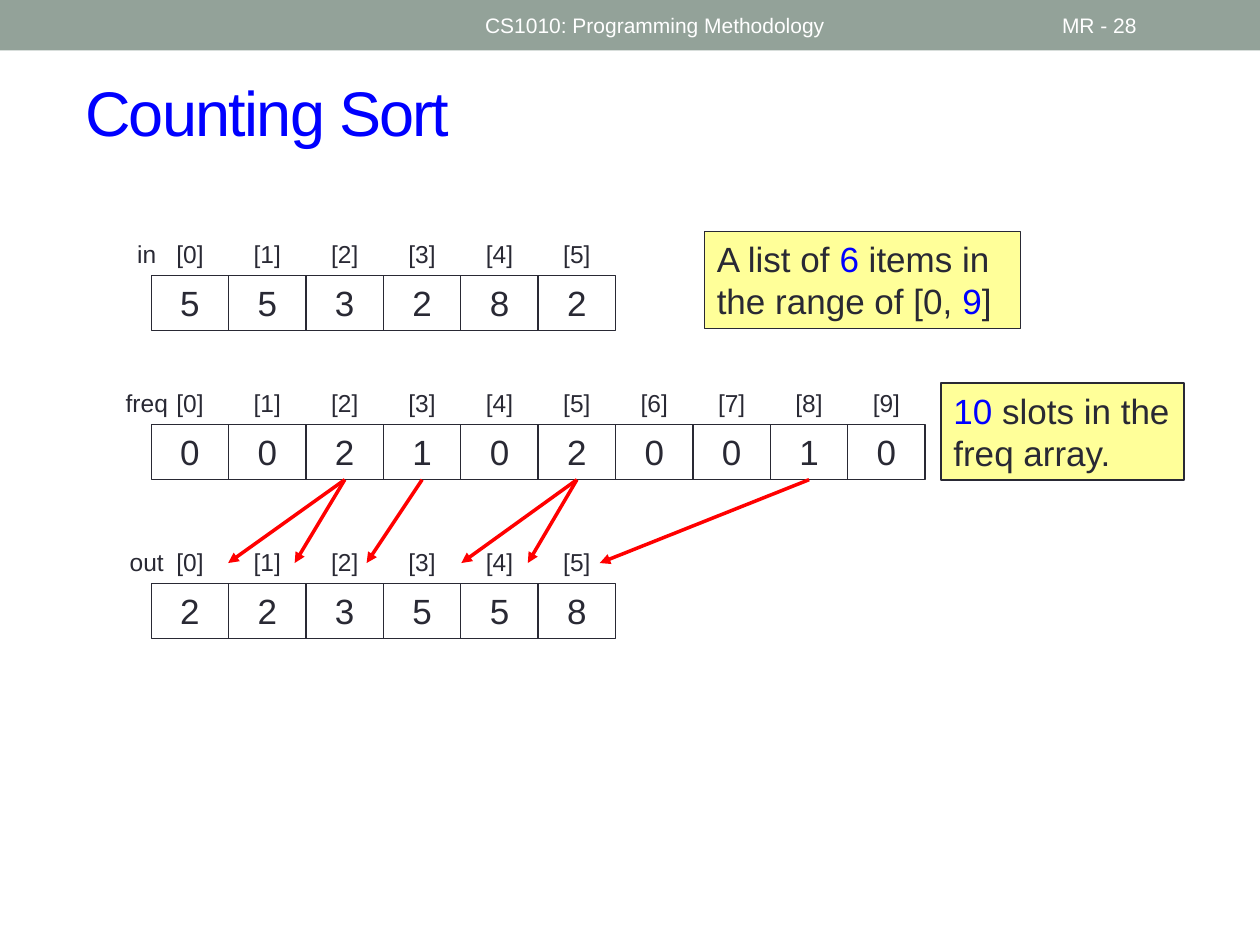
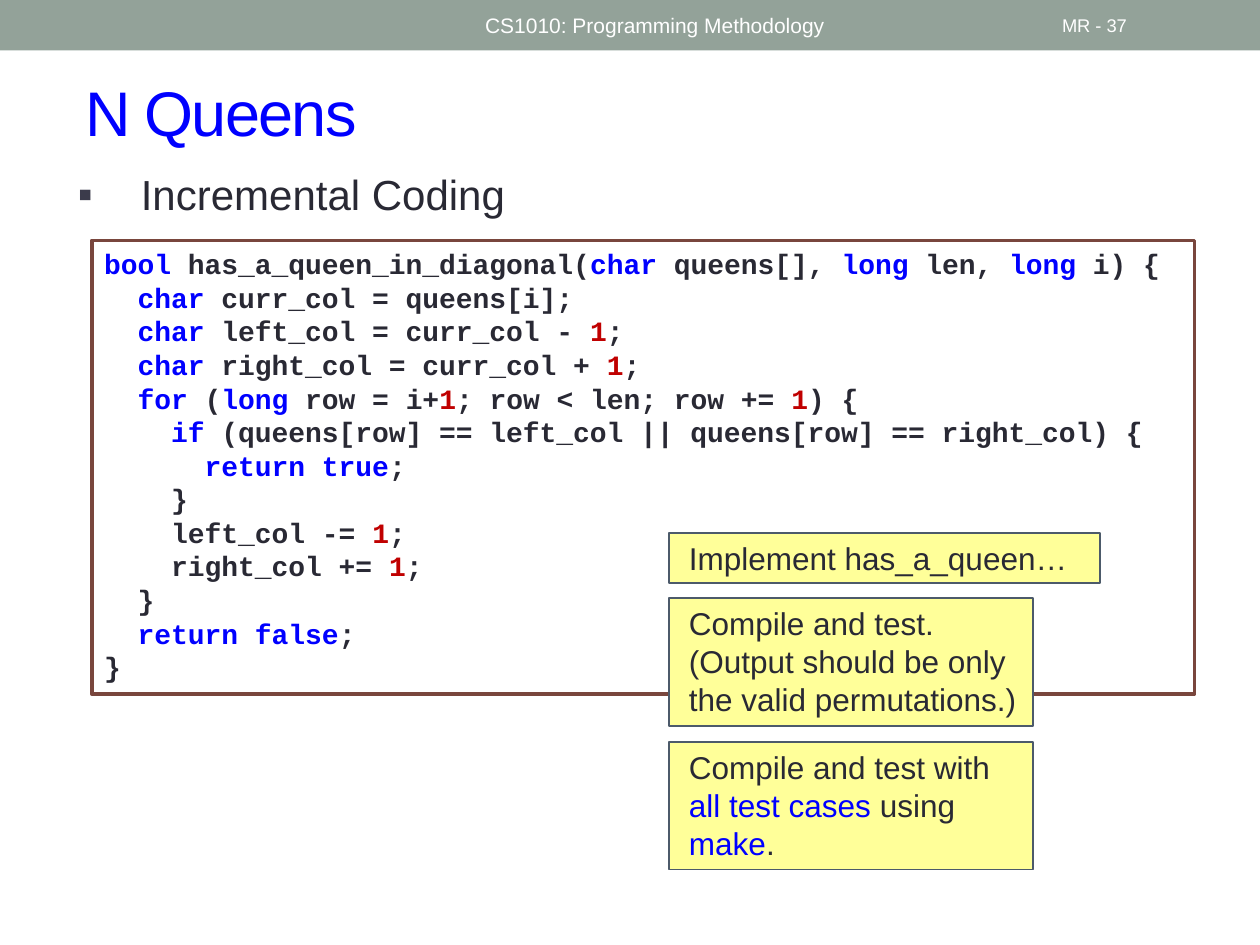
"""Builds two lecture slides: counting sort arrays and incremental coding of N Queens."""
import pptx
import pptx.dml.color
import pptx.enum.shapes
import pptx.enum.text
import pptx.util
import lxml.etree
from pptx.oxml.ns import qn

Cm = pptx.util.Cm
Pt = pptx.util.Pt
ALIGN = pptx.enum.text.PP_ALIGN
ANCHOR = pptx.enum.text.MSO_ANCHOR
COLOURS = {
    "band": "93A299",
    "text": "292934",
    "blue": "0000FF",
    "number": "C00000",
    "arrow": "FF0000",
    "note": "FFFF99",
    "note line": "4C5A6A",
    "code line": "79463D",
    "bullet": "3B3B4B",
    "white": "FFFFFF",
}


def rgb(name):
    return pptx.dml.color.RGBColor.from_string(COLOURS[name])


def add_box(page, place, text="", size=20, font="Arial", colour="text", digits="blue",
            bold=False, align=ALIGN.LEFT, anchor=ANCHOR.TOP, fill=None, line=None,
            line_width=0.75, spacing=0, indent=0, bullet=None):
    """Add a box of text; parts between backticks are blue, or the digits colour if numeric."""
    place = [Cm(length) for length in place]
    if fill or line:
        box = page.shapes.add_shape(pptx.enum.shapes.MSO_SHAPE.RECTANGLE, *place)
        box.shadow.inherit = False
    else:
        box = page.shapes.add_textbox(*place)
    if fill:
        box.fill.solid()
        box.fill.fore_color.rgb = rgb(fill)
    else:
        box.fill.background()
    if line:
        box.line.color.rgb = rgb(line)
        box.line.width = Pt(line_width)
    else:
        box.line.fill.background()
    frame = box.text_frame
    frame.word_wrap = True
    frame.vertical_anchor = anchor
    for index, row in enumerate(text.split("\n")):
        para = frame.add_paragraph() if index else frame.paragraphs[0]
        para.alignment = align
        properties = para._p.get_or_add_pPr()
        if indent:
            properties.set("marL", str(Cm(indent)))
        if bullet:
            properties.set("indent", str(-Cm(indent)))
            tint = lxml.etree.SubElement(properties, qn("a:buClr"))
            lxml.etree.SubElement(tint, qn("a:srgbClr"), val=COLOURS["bullet"])
            lxml.etree.SubElement(properties, qn("a:buFont"), typeface="Arial")
            lxml.etree.SubElement(properties, qn("a:buChar"), char=bullet)
        for part, words in enumerate(row.split("`")):
            if not words:
                continue
            span = para.add_run()
            span.text = words
            span.font.name = font
            span.font.size = Pt(size)
            span.font.bold = bold
            accent = digits if words.isdigit() else "blue"
            span.font.color.rgb = rgb(accent if part % 2 else colour)
            if spacing:
                span._r.get_or_add_rPr().set("spc", str(spacing))
    return box


deck = pptx.Presentation()
deck.slide_width = Cm(25.4)
deck.slide_height = Cm(19.05)

pages = []
for title, number, number_size in [("Counting Sort", 28, 12), ("N Queens", 37, 10.5)]:
    page = deck.slides.add_slide(deck.slide_layouts[6])
    add_box(page, (0, 0, 25.4, 1.02), fill="band")
    add_box(page, (1.47, 1.07, 23.29, 2.34), title, size=36, colour="blue",
            anchor=ANCHOR.MIDDLE, spacing=-100)
    add_box(page, (9.53, 0.05, 11.43, 0.91), "CS1010: Programming Methodology",
            size=12, colour="white", anchor=ANCHOR.MIDDLE)
    add_box(page, (21.16, 0.05, 2.97, 0.91), f"MR - {number}",
            size=number_size, colour="white", anchor=ANCHOR.MIDDLE)
    pages.append(page)
sort_page, queens_page = pages

array_left, cell_width, cell_height, label_height = 3.05, 1.56, 1.11, 0.86
arrays = [("in", 5.56, "553282"), ("freq", 8.56, "0021020010"), ("out", 11.76, "223558")]
cells = {}
for name, top, values in arrays:
    label_top = top - label_height
    for index, value in enumerate(values):
        left = array_left + index * cell_width
        cells[name, index] = add_box(sort_page, (left, top, cell_width, cell_height), value,
                                     align=ALIGN.CENTER, line="text")
        add_box(sort_page, (left, label_top, cell_width, label_height), f"[{index}]",
                size=14, align=ALIGN.CENTER)
    add_box(sort_page, (2.01, label_top, 1.9, label_height), name,
            size=14, align=ALIGN.CENTER)

arrow_end = 11.35
for slot, target in [(2, 4.6), (2, 5.94), (3, 7.39), (5, 9.3), (5, 10.64), (8, 12.09)]:
    arrow = sort_page.shapes.add_connector(
        pptx.enum.shapes.MSO_CONNECTOR.STRAIGHT, 0, 0, Cm(target), Cm(arrow_end))
    arrow.begin_connect(cells["freq", slot], 2)
    arrow.line.color.rgb = rgb("arrow")
    arrow.line.width = Pt(2)
    lxml.etree.SubElement(arrow.line._get_or_add_ln(), qn("a:tailEnd"), type="triangle")
    lxml.etree.SubElement(arrow._element.spPr, qn("a:effectLst"))

for place, remark in [
    ((14.2, 4.67, 6.38, 1.96), "A list of `6` items in the range of [0, `9`]"),
    ((18.97, 7.72, 4.9, 1.96), "`10` slots in the freq array."),
]:
    add_box(sort_page, place, remark, fill="note", line="text")

code = """`bool `has_a_queen_in_diagonal(`char` queens[], `long `len, `long `i) {
  `char `curr_col = queens[i];
  `char `left_col = curr_col - `1`;
  `char `right_col = curr_col + `1`;
  `for` (`long` row = i+`1`; row < len; row += `1`) {
    `if` (queens[row] == left_col || queens[row] == right_col) {
      `return true`;
    }
    left_col -= `1`;
    right_col += `1`;
  }
  `return false`;
}"""
add_box(queens_page, (1.32, 3.28, 22.07, 14.94), "Incremental Coding",
        size=24, indent=1.27, bullet="▪")
add_box(queens_page, (1.85, 4.85, 22.23, 9.14), code, size=16, font="Courier New", bold=True,
        digits="number", fill="white", line="code line", line_width=2.08)

for top, width, height, step in [
    (10.74, 8.69, 1.02, "Implement has_a_queen…"),
    (12.06, 7.34, 2.57, "Compile and test. (Output should be only the valid permutations.)"),
    (14.96, 7.34, 2.57, "Compile and test with `all test cases `using `make`."),
]:
    add_box(queens_page, (13.49, top, width, height), step, size=18, indent=0.15,
            fill="note", line="note line", line_width=1)

deck.save("out.pptx")
